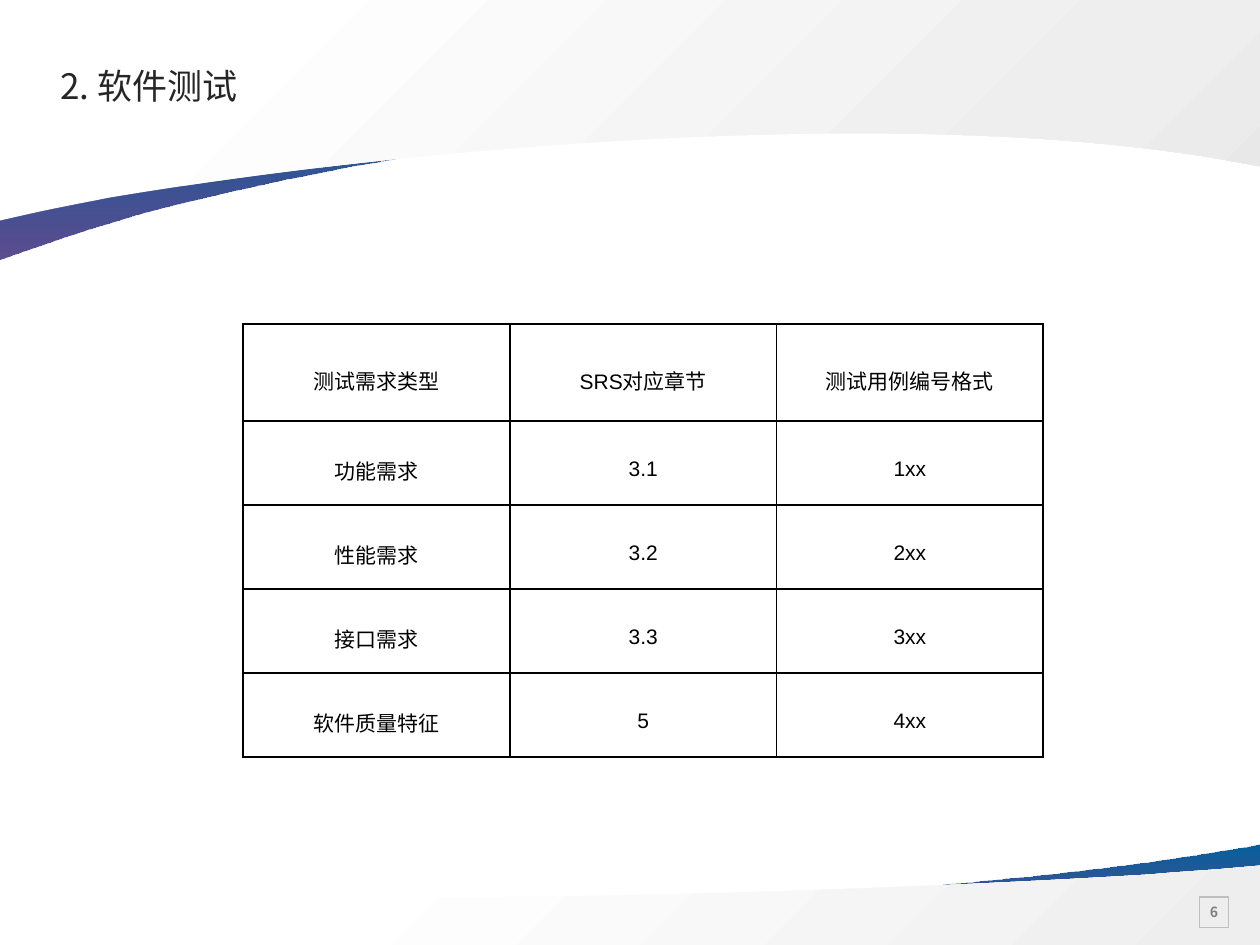
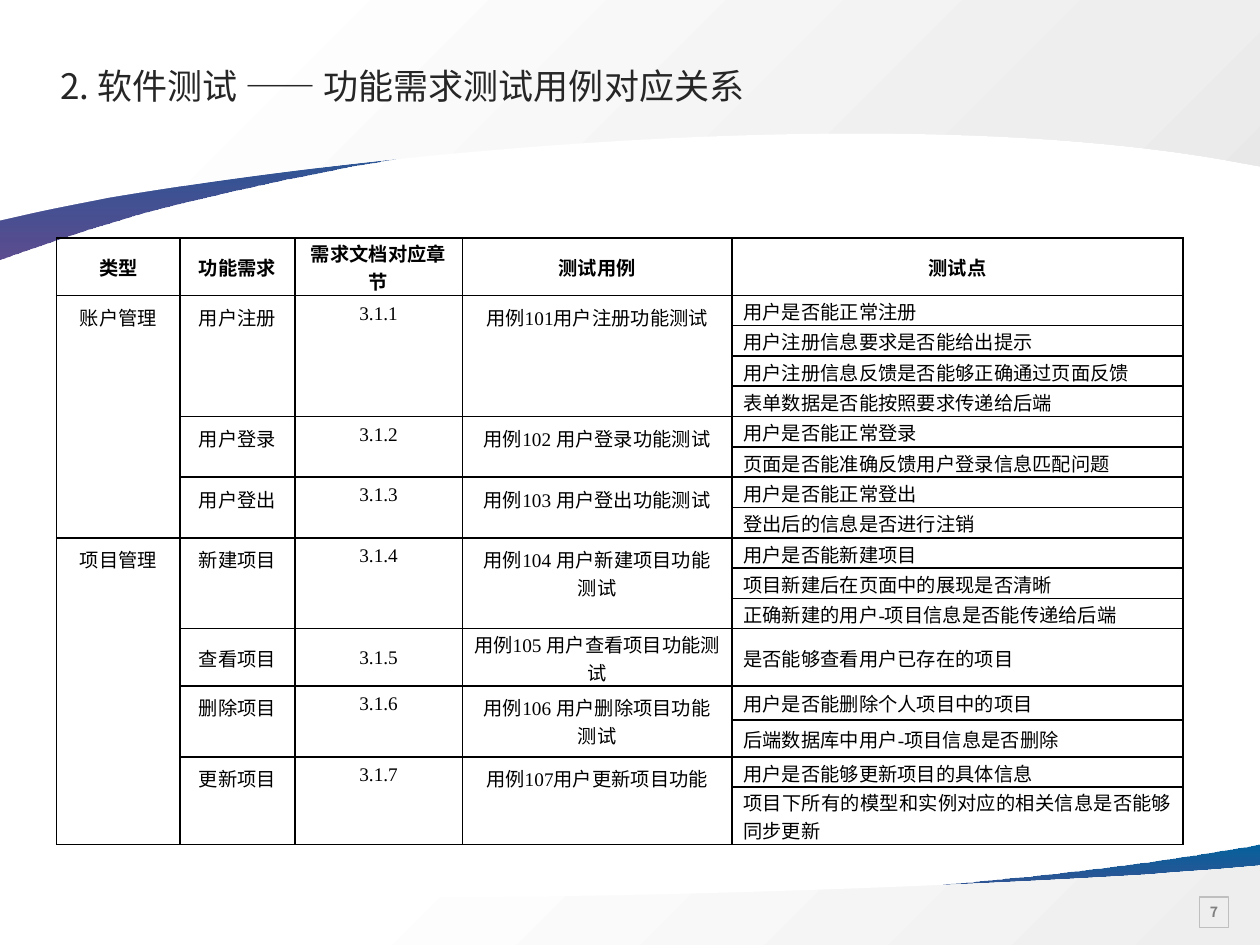
from dataclasses import dataclass

from lxml.etree import SubElement
from pptx import Presentation
from pptx.dml.color import RGBColor
from pptx.enum.shapes import MSO_SHAPE
from pptx.enum.text import MSO_ANCHOR, MSO_AUTO_SIZE, PP_ALIGN
from pptx.oxml import parse_xml
from pptx.oxml.ns import nsdecls, qn
from pptx.util import Inches, Pt


@dataclass(frozen=True)
class Theme:
    heading_font: str = "Noto Sans CJK SC"
    overview_font: str = "Arial"
    cases_font: str = "Times New Roman"
    title_color: str = "262626"
    text_color: str = "000000"
    number_color: str = "808080"
    frame_color: str = "BFBFBF"
    title_size: float = 20
    overview_size: float = 12
    cases_size: float = 11
    number_size: float = 8
    border_width: float = 1
    ribbon: tuple = ((0, "04619D", 100), (100, "342275", 80))
    footer: tuple = ((26, "FFFFFF", 100), (100, "EEEEEE", 100))
    header: tuple = ((17, "FFFFFF", 100), (81, "EEEEEE", 100), (100, "E8E8E8", 100))


THEME = Theme()
TIGHT = (0.09, 0.01, 0.09, 0)
LOOSE = (0.12, 0.06, 0.12, 0.06)
OVERVIEW_MARGINS = (0.07, 0, 0.07, 0)

BOTTOM_BANDS = [
    (THEME.ribbon, 90, [
        (10, 6.7), (10, 7.35), (0, 7.35), (0, 7.08), (0.01, 7.08),
        (2.26, 7.41, 6.15, 7.17, 8.39, 6.93),
        (8.84, 6.88, 9.35, 6.81, 9.89, 6.72), (10, 6.7)]),
    (THEME.footer, 45, [
        (10, 6.87), (10, 7.12), (10, 7.15), (10, 7.5),
        (0, 7.5), (0, 7.15), (0, 7.12), (0, 7.03), (0.33, 7.05),
        (2.94, 7.21, 6.83, 7.08, 9.14, 6.94),
        (9.34, 6.92, 9.56, 6.91, 9.78, 6.89)]),
]
TOP_BANDS = [
    (THEME.ribbon, 90, [
        (0, 2.06), (0, 0.66), (10, 0.66), (10, 1.24), (9.99, 1.23),
        (7.74, 0.53, 3.85, 1.03, 1.61, 1.57),
        (1.16, 1.67, 0.65, 1.83, 0.11, 2.02), (0, 2.06)]),
    (THEME.header, 45, [
        (0, 1.75), (0, 1.05), (0, 0.99), (0, 0),
        (10, 0), (10, 0.99), (10, 1.05), (10, 1.32), (9.67, 1.26),
        (7.06, 0.82, 3.17, 1.18, 0.86, 1.57),
        (0.66, 1.61, 0.44, 1.65, 0.22, 1.7)]),
]

OVERVIEW = [
    ("测试需求类型", "SRS对应章节", "测试用例编号格式"),
    ("功能需求", "3.1", "1xx"),
    ("性能需求", "3.2", "2xx"),
    ("接口需求", "3.3", "3xx"),
    ("软件质量特征", "5", "4xx"),
]

CASE_HEADINGS = ("类型", "功能需求", "需求文档对应章节", "测试用例", "测试点")
CASE_GROUPS = [
    ("账户管理", [
        ("用户注册", "3.1.1", "用例101用户注册功能测试", [
            "用户是否能正常注册",
            "用户注册信息要求是否能给出提示",
            "用户注册信息反馈是否能够正确通过页面反馈",
            "表单数据是否能按照要求传递给后端"]),
        ("用户登录", "3.1.2", "用例102 用户登录功能测试", [
            "用户是否能正常登录",
            "页面是否能准确反馈用户登录信息匹配问题"]),
        ("用户登出", "3.1.3", "用例103 用户登出功能测试", [
            "用户是否能正常登出",
            "登出后的信息是否进行注销"]),
    ]),
    ("项目管理", [
        ("新建项目", "3.1.4", "用例104 用户新建项目功能测试", [
            "用户是否能新建项目",
            "项目新建后在页面中的展现是否清晰",
            "正确新建的用户-项目信息是否能传递给后端"]),
        ("查看项目", "3.1.5", "用例105 用户查看项目功能测试", [
            "是否能够查看用户已存在的项目"]),
        ("删除项目", "3.1.6", "用例106 用户删除项目功能测试", [
            "用户是否能删除个人项目中的项目",
            "后端数据库中用户-项目信息是否删除"]),
        ("更新项目", "3.1.7", "用例107用户更新项目功能", [
            "用户是否能够更新项目的具体信息",
            "项目下所有的模型和实例对应的相关信息是否能够同步更新"]),
    ]),
]


def set_font(para, name, size, color, bold=False):
    font = para.font
    font.name, font.size, font.bold = name, Pt(size), bold
    font.color.rgb = RGBColor.from_string(color)


def set_margins(target, margins):
    (target.margin_left, target.margin_top,
     target.margin_right, target.margin_bottom) = map(Inches, margins)


def gradient(stops, angle):
    fill = parse_xml(f'<a:gradFill {nsdecls("a")} rotWithShape="1"/>')
    stop_list = SubElement(fill, qn("a:gsLst"))
    for position, color, opacity in stops:
        stop = SubElement(stop_list, qn("a:gs"), pos=str(position * 1000))
        tint = SubElement(stop, qn("a:srgbClr"), val=color)
        if opacity < 100:
            SubElement(tint, qn("a:alpha"), val=str(opacity * 1000))
    SubElement(fill, qn("a:lin"), ang=str(angle * 60000), scaled="0")
    return fill


def bend_sides(band, steps):
    lines = list(band.element.iter(qn("a:lnTo")))
    for line, step in zip(lines, steps[1:]):
        if len(step) == 6:
            curve = parse_xml(f'<a:cubicBezTo {nsdecls("a")}/>')
            for x, y in zip(step[::2], step[1::2]):
                SubElement(curve, qn("a:pt"), x=str(Inches(x) - band.left),
                           y=str(Inches(y) - band.top))
            line.getparent().replace(line, curve)


def add_band(group, stops, angle, steps):
    ends = [tuple(map(Inches, step[-2:])) for step in steps]
    builder = group.shapes.build_freeform(*ends[0])
    builder.add_line_segments(ends[1:], close=True)
    band = builder.convert_to_shape()
    bend_sides(band, steps)
    band.shadow.inherit = False
    band.line.fill.background()
    band.fill.background()
    properties = band.element.spPr
    properties.replace(properties.find(qn("a:noFill")), gradient(stops, angle))


def add_backdrop(page, layout):
    for position, bands in enumerate((BOTTOM_BANDS, TOP_BANDS), 2):
        group = page.shapes.add_group_shape()
        for band in bands:
            add_band(group, *band)
        layout.shapes.element.insert(position, group.element)


def clear_footers(holder):
    for place in list(holder.placeholders)[-3:]:
        place.element.getparent().remove(place.element)


def add_title(page, text):
    title = page.shapes.title
    title.left, title.top, title.width, title.height = map(Inches, (0.4, 0.41, 9, 0.58))
    frame = title.text_frame
    frame.text = text
    frame.word_wrap = False
    frame.auto_size = MSO_AUTO_SIZE.NONE
    frame.vertical_anchor = MSO_ANCHOR.MIDDLE
    set_margins(frame, (0.08, 0.08, 0, 0.08))
    para = frame.paragraphs[0]
    para.alignment = PP_ALIGN.LEFT
    para.line_spacing = 0.9
    set_font(para, THEME.heading_font, THEME.title_size, THEME.title_color)


def add_page_number(page, number):
    box = page.shapes.add_shape(
        MSO_SHAPE.RECTANGLE, *map(Inches, (9.52, 7.12, 0.23, 0.24)))
    box.shadow.inherit = False
    box.fill.background()
    box.line.color.rgb = RGBColor.from_string(THEME.frame_color)
    box.line.width = Pt(0.75)
    frame = box.text_frame
    frame.text = str(number)
    frame.word_wrap = False
    frame.vertical_anchor = MSO_ANCHOR.MIDDLE
    set_margins(frame, (0.08,) * 4)
    para = frame.paragraphs[0]
    para.alignment = PP_ALIGN.CENTER
    set_font(para, THEME.heading_font, THEME.number_size, THEME.number_color, True)


def add_borders(cell):
    properties = cell._tc.get_or_add_tcPr()
    for position, edge in enumerate(("lnL", "lnR", "lnT", "lnB")):
        properties.insert(position, parse_xml(
            f'<a:{edge} {nsdecls("a")} w="{Pt(THEME.border_width)}"><a:solidFill>'
            f'<a:srgbClr val="{THEME.text_color}"/></a:solidFill></a:{edge}>'))


def add_grid(page, left, top, columns, rows):
    table = page.shapes.add_table(
        len(rows), len(columns), Inches(left), Inches(top),
        Inches(sum(columns)), Inches(sum(rows))).table
    table.first_row = table.horz_banding = False
    for column, width in zip(table.columns, columns):
        column.width = Inches(width)
    for row, height in zip(table.rows, rows):
        row.height = Inches(height)
    for cell in table.iter_cells():
        cell.fill.background()
        add_borders(cell)
    return table


def fill_cell(cell, text, margins, name, size, bold=False,
              align=PP_ALIGN.CENTER, anchor=MSO_ANCHOR.MIDDLE):
    cell.text = text
    cell.vertical_anchor = anchor
    set_margins(cell, margins)
    para = cell.text_frame.paragraphs[0]
    para.alignment = align
    set_font(para, name, size, THEME.text_color, bold)
    return para


def add_overview_table(page):
    heights = [0.77] + [(3.44 - 0.77) / 4] * 4
    table = add_grid(page, 1.93, 2.57, [6.35 / 3] * 3, heights)
    for row, texts in enumerate(OVERVIEW):
        for column, text in enumerate(texts):
            para = fill_cell(table.cell(row, column), text, OVERVIEW_MARGINS,
                             THEME.overview_font, THEME.overview_size)
            para.line_spacing = 1.5


def fill_case(table, row, column, text, span=1, **style):
    cell = table.cell(row, column)
    margins = TIGHT
    if span > 1:
        cell.merge(table.cell(row + span - 1, column))
        margins = LOOSE
        style["anchor"] = MSO_ANCHOR.TOP
    fill_cell(cell, text, margins, THEME.cases_font, THEME.cases_size, **style)


def add_case_table(page):
    line = (4.69 - 3 * 0.42 - 2 * 0.27) / 12
    heights = [0.42] + [line] * 11 + [0.42, 0.27, 0.27, line, 0.42]
    table = add_grid(page, 0.45, 1.89, [0.98, 0.91, 1.33, 2.14, 3.58], heights)
    for column, heading in enumerate(CASE_HEADINGS):
        fill_case(table, 0, column, heading, bold=True)
    row = 1
    for group, features in CASE_GROUPS:
        fill_case(table, row, 0, group, sum(len(feature[-1]) for feature in features))
        for *labels, points in features:
            for column, label in enumerate(labels, 1):
                fill_case(table, row, column, label, len(points))
            for point in points:
                fill_case(table, row, 4, point, align=PP_ALIGN.JUSTIFY)
                row += 1


def main():
    deck = Presentation()
    deck.slide_width, deck.slide_height = Inches(10), Inches(7.5)
    layout = deck.slide_layouts.get_by_name("Title Only")
    clear_footers(layout)
    clear_footers(deck.slide_master)
    contents = [
        ("2. 软件测试", add_overview_table),
        ("2. 软件测试 —— 功能需求测试用例对应关系 ", add_case_table),
    ]
    for number, (title, add_content) in enumerate(contents, 6):
        page = deck.slides.add_slide(layout)
        add_title(page, title)
        add_page_number(page, number)
        add_content(page)
    add_backdrop(deck.slides[0], layout)
    deck.save("out.pptx")


main()
